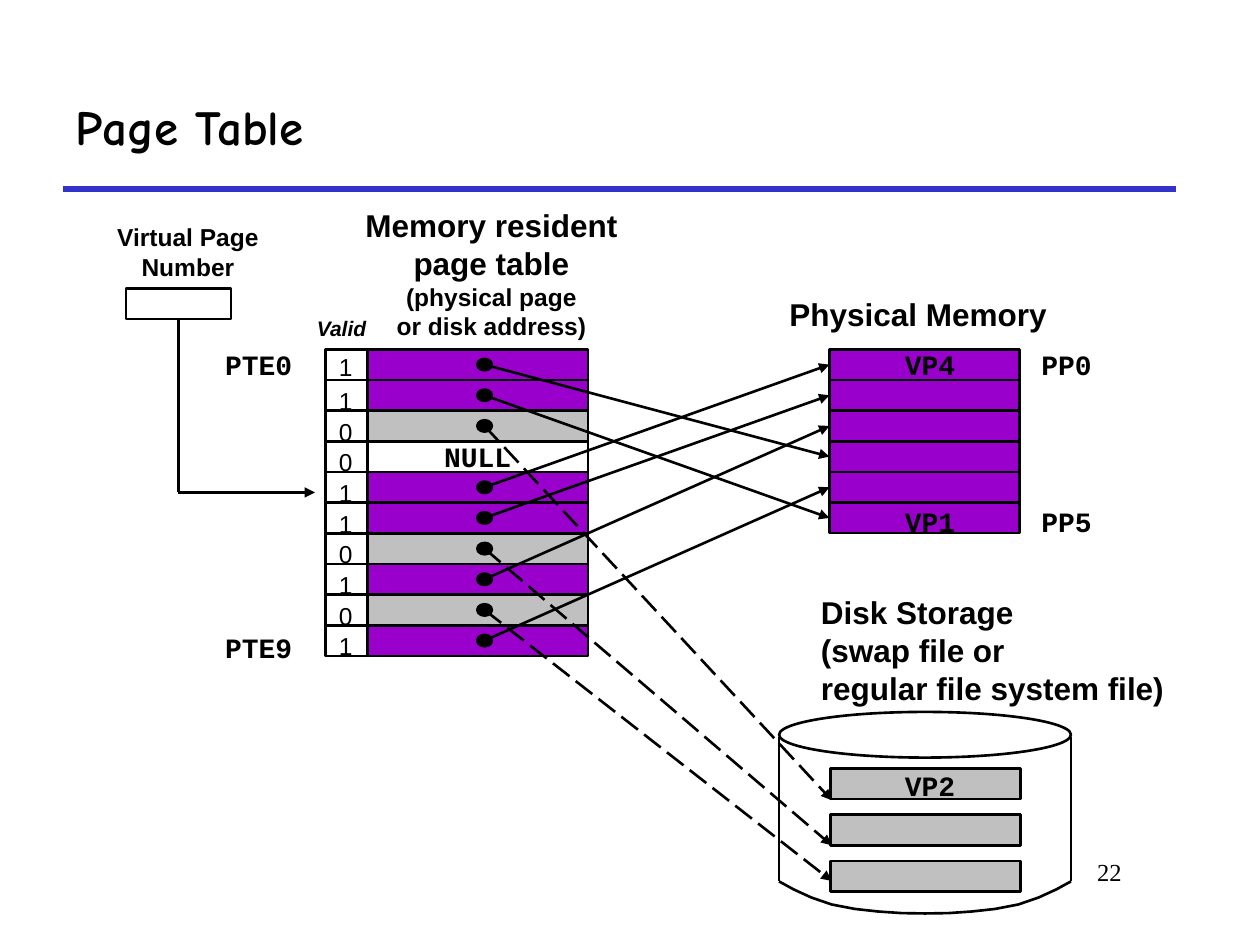
import pptx
import pptx.dml.color
import pptx.enum.dml
import pptx.enum.shapes
import pptx.enum.text
import pptx.util
from lxml import etree
from pptx.oxml.ns import qn

COLORS = {"black": "000000", "white": "FFFFFF", "rule": "3333CC",
          "memory": "9900CC", "disk": "C0C0C0"}
GRID = pptx.util.Inches(1) / 12  # the slide is 120 columns by 90 rows
ROW = 2.92                       # height of one page cell, in grid rows
SHAPE = pptx.enum.shapes.MSO_SHAPE
ALIGN = pptx.enum.text.PP_ALIGN
VALID = "1100110101"             # one bit for each page table entry
NULL_ENTRY = 3
MEMORY_TARGETS = {0: 3, 1: 5, 4: 0, 5: 1, 7: 2, 9: 4}  # entry: memory page
DISK_TARGETS = {2: 8.4, 6: 12.7, 8: 16.1}  # entry: rows below top of disk
CODE = {"font": "Courier New", "size": 16, "bold": True}


def grid(*lengths):
    return [pptx.util.Emu(round(length * GRID)) for length in lengths]


def rgb(name):
    return pptx.dml.color.RGBColor.from_string(COLORS[name])


def write(shape, text, font="Arial", size=14, bold=False, italic=False,
          align=ALIGN.LEFT, wrap=False, middle=False, small=None):
    """Write lines of text; small is the (first line, size) of a smaller tail."""
    frame = shape.text_frame
    frame.word_wrap = wrap
    anchor = pptx.enum.text.MSO_ANCHOR
    frame.vertical_anchor = anchor.MIDDLE if middle else anchor.TOP
    for number, line in enumerate(text.split("\n")):
        para = frame.add_paragraph() if number else frame.paragraphs[0]
        para.alignment = align
        span = para.add_run()
        span.text = line
        span.font.name = font
        points = small[1] if small and number >= small[0] else size
        span.font.size = pptx.util.Pt(points)
        span.font.bold, span.font.italic = bold, italic
        span.font.color.rgb = rgb("black")


def add_text(page, box, text, **style):
    write(page.shapes.add_textbox(*grid(*box)), text, **style)


def draw_outline(shape, width=1.5):
    shape.line.color.rgb = rgb("black")
    shape.line.width = pptx.util.Pt(width)


def add_shape(page, box, fill=None, kind=SHAPE.RECTANGLE, width=1.5):
    shape = page.shapes.add_shape(kind, *grid(*box))
    shape.shadow.inherit = False
    if fill:
        shape.fill.solid()
        shape.fill.fore_color.rgb = rgb(fill)
    else:
        shape.fill.background()
    draw_outline(shape, width)
    return shape


def add_line(page, start, end, color="black", width=1.5, arrow=False, dashed=False):
    line = page.shapes.add_connector(
        pptx.enum.shapes.MSO_CONNECTOR.STRAIGHT, *grid(*start, *end))
    line.line.color.rgb = rgb(color)
    line.line.width = pptx.util.Pt(width)
    if dashed:
        line.line.dash_style = pptx.enum.dml.MSO_LINE.LONG_DASH
    if arrow:
        etree.SubElement(line.line._get_or_add_ln(), qn("a:tailEnd"), type="triangle")
    etree.SubElement(line._element.spPr, qn("a:effectLst"))
    return line


def add_heading(page, box):
    left, top, width, height = box
    add_line(page, (left, top + height), (left + width, top + height), "rule", 3)
    add_text(page, box, "Page Table", font="Comic Neue", size=28, bold=True,
             wrap=True, middle=True)


def add_page_table(page, box):
    """Draw the entries and return the centres of their pointer dots."""
    left, top, width, height = box
    valid_width = 4
    data_left = left + valid_width
    centres = {}
    for entry, bit in enumerate(VALID):
        y = top + entry * ROW
        add_shape(page, (left, y, valid_width, ROW))
        fill = "memory" if bit == "1" else "disk"
        if entry == NULL_ENTRY:
            fill = "white"
        cell = add_shape(page, (data_left, y, width - valid_width, ROW), fill)
        if entry == NULL_ENTRY:
            write(cell, "NULL", align=ALIGN.CENTER, middle=True, **CODE)
        else:
            centres[entry] = (data_left + 11.15, y + ROW / 2)
            add_shape(page, (data_left + 10.5, y + ROW / 2 - 0.5, 1.3, 1),
                      "black", SHAPE.OVAL, 2)
    # Valid bits stand over the finished cells
    for entry, bit in enumerate(VALID):
        lift = 0 if entry else 0.37
        add_text(page, (left + 0.1, top + entry * ROW - lift, 3.7, 4.1), bit)
    # Headings and end labels
    add_text(page, (left + 1.8, top - 14.25, 28, 14),
             "Memory resident\npage table\n(physical page\nor disk address)",
             size=18, small=(2, 14), bold=True, align=ALIGN.CENTER)
    add_text(page, (left - 2, top - 3.85, 8, 3.6), "Valid", size=12,
             bold=True, italic=True, wrap=True)
    for text, y in (("PTE0", top - 0.75), ("PTE9", top + height - 3)):
        add_text(page, (left - 12, y, 10, 4.4), text, align=ALIGN.RIGHT,
                 wrap=True, **CODE)
    return centres


def add_memory(page, box):
    """Draw the physical pages and return their cells."""
    left, top, width, height = box
    cells = [add_shape(page, (left, top + number * ROW, width, ROW), "memory")
             for number in range(round(height / ROW))]
    add_text(page, (left - 5, top - 5.75, 30, 4.8), "Physical Memory",
             size=18, bold=True, wrap=True)
    for y, inside, outside in ((top - 0.75, "VP4", "PP0"),
                               (top + height - 3.3, "VP1", "PP5")):
        for x, text in ((left + 6, inside), (left + 19, outside)):
            add_text(page, (x, y, 10, 4.4), text, wrap=True, **CODE)
    return cells


def add_pointers(page, centres, cells, disk_box):
    for entry, number in MEMORY_TARGETS.items():
        line = add_line(page, centres[entry], centres[entry], arrow=True)
        line.end_connect(cells[number], 1)
    for entry, drop in DISK_TARGETS.items():
        end = (disk_box[0] + 5, disk_box[1] + drop)
        add_line(page, centres[entry], end, arrow=True, dashed=True)


def add_disk(page, box):
    left, top, width, height = box
    # Cylinder: lid, sides and curved base
    add_shape(page, (left, top, width, 4.35), kind=SHAPE.OVAL)
    base = top + height - 3.05
    for x in (left, left + width):
        add_line(page, (x, top + 2.4), (x, base))
    half = [(0, 0), (0.05, 0.25), (0.11, 0.5), (0.18, 0.72),
            (0.26, 0.86), (0.34, 0.94), (0.42, 0.99), (0.5, 1)]
    curve = half + [(1 - x, y) for x, y in half[-2::-1]]
    points = [grid(left + x * width, base + y * 3.05) for x, y in curve]
    builder = page.shapes.build_freeform(*points[0])
    builder.add_line_segments(points[1:], close=False)
    rim = builder.convert_to_shape()
    rim.shadow.inherit = False
    rim.fill.background()
    draw_outline(rim)
    # Stored pages
    for number in range(3):
        add_shape(page, (left + 4.9, top + 5.4 + number * 4.4, 18.1, ROW), "disk")
    add_text(page, (left + 10.8, top + 4.8, 10, 4.4), "VP2", wrap=True, **CODE)
    add_text(page, (left + 2.8, top - 11.9, 40, 12),
             "Disk Storage\n(swap file or\nregular file system file)",
             size=18, bold=True, wrap=True)


def add_page_number_input(page, box):
    left, top, width, height = box
    field = add_shape(page, box, "white")
    add_text(page, (left - 4, top - 6.9, 19.8, 6.8), "Virtual Page\nNumber",
             bold=True, align=ALIGN.CENTER, wrap=True)
    corner = (left + width / 2, top + 19.4)
    stem = add_line(page, (corner[0], top + height), corner)
    stem.begin_connect(field, 2)
    add_line(page, corner, (left + 18, corner[1]), arrow=True)


def main():
    deck = pptx.Presentation()
    deck.slide_width, deck.slide_height = grid(120, 90)
    page = deck.slides.add_slide(deck.slide_layouts[6])
    disk_box = (74.2, 67.8, 27.8, 19.2)
    add_heading(page, (6, 6, 106, 12))
    centres = add_page_table(page, (31, 33.27, 25, len(VALID) * ROW))
    cells = add_memory(page, (79, 33.27, 18.1, 6 * ROW))
    add_pointers(page, centres, cells, disk_box)
    add_disk(page, disk_box)
    add_page_number_input(page, (12, 27.5, 10, 2.9))
    add_text(page, (91, 81, 17, 6), "22", font="Times New Roman",
             align=ALIGN.RIGHT, wrap=True)
    deck.save("out.pptx")


if __name__ == "__main__":
    main()
